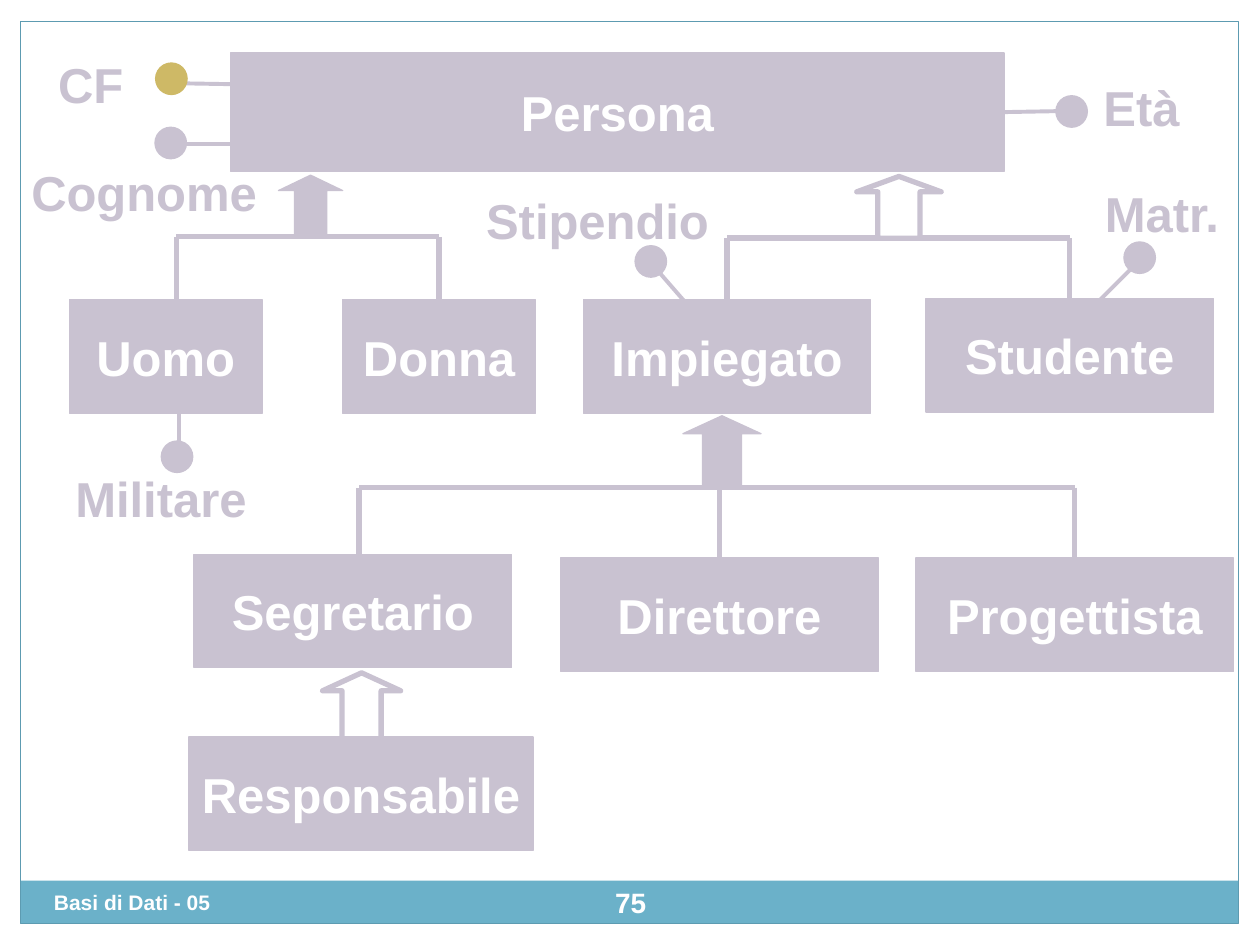
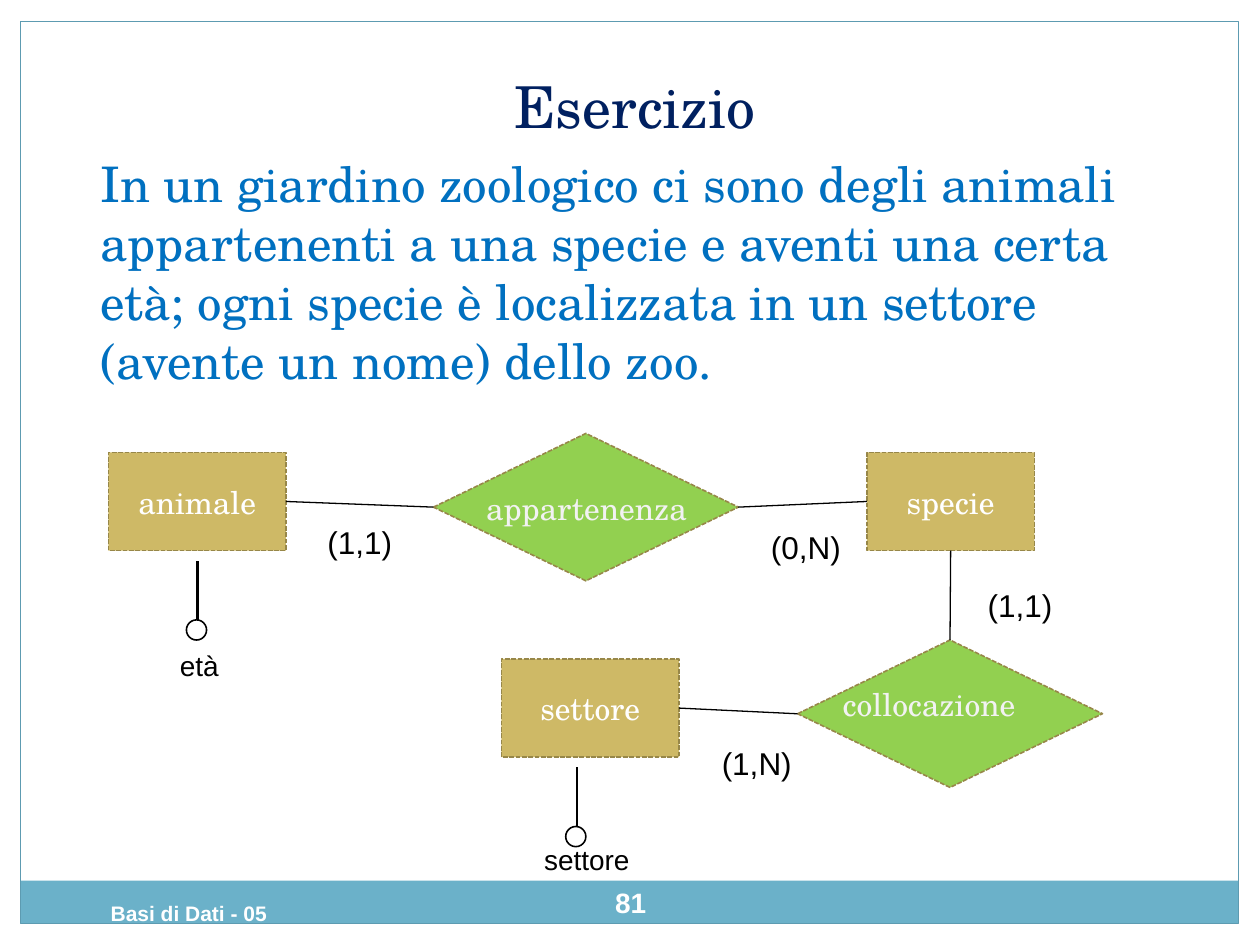
"""Builds two entity-relationship slides of a database course."""
from lxml.etree import SubElement
from pptx import Presentation
from pptx.dml.color import RGBColor
from pptx.enum.dml import MSO_LINE
from pptx.enum.shapes import MSO_CONNECTOR, MSO_SHAPE
from pptx.enum.text import MSO_ANCHOR, MSO_AUTO_SIZE, PP_ALIGN
from pptx.oxml.ns import qn
from pptx.util import Inches, Pt

WHITE = RGBColor(0xFF, 0xFF, 0xFF)
BLACK = RGBColor(0x00, 0x00, 0x00)
BAND = RGBColor(0x6B, 0xB1, 0xC9)
BORDER = RGBColor(0x5D, 0x9B, 0xB1)
LILAC = RGBColor(0xC9, 0xC2, 0xD1)
GOLD = RGBColor(0xCE, 0xB9, 0x66)
GOLD_EDGE = RGBColor(0x97, 0x87, 0x49)
GREEN = RGBColor(0x92, 0xD0, 0x50)
PALE = RGBColor(0xF2, 0xF2, 0xF2)
NAVY = RGBColor(0x00, 0x20, 0x60)
BLUE = RGBColor(0x00, 0x70, 0xC0)
SANS, SERIF = "Arial", "TeX Gyre Schola"
COLUMNS, ROWS = 100, 75
TOP, LEFT, BOTTOM, RIGHT = range(4)
COURSE = "Basi di Dati - 05"


def write_text(target, text, size=28, font=SANS, color=WHITE, bold=False,
               align=PP_ALIGN.LEFT, anchor=MSO_ANCHOR.TOP, wrap=True, grow=False):
    """Put formatted text into a shape."""
    frame = target.text_frame
    frame.word_wrap = wrap
    frame.auto_size = MSO_AUTO_SIZE.SHAPE_TO_FIT_TEXT if grow else MSO_AUTO_SIZE.NONE
    frame.vertical_anchor = anchor
    paragraph = frame.paragraphs[0]
    paragraph.alignment = align
    run = paragraph.add_run()
    run.text = text
    run.font.name, run.font.size = font, Pt(size)
    run.font.color.rgb, run.font.bold = color, bold


class Deck:
    """Style and current slide, measured in grid columns and rows."""

    def __init__(self):
        """Open a 4:3 presentation."""
        self.prs = Presentation()
        self.prs.slide_width, self.prs.slide_height = Inches(10), Inches(7.5)
        self.slide = None

    def place(self, *cells):
        """Turn alternating columns and rows into lengths."""
        units = self.prs.slide_width / COLUMNS, self.prs.slide_height / ROWS
        return [round(cell * units[i % 2]) for i, cell in enumerate(cells)]

    def new_slide(self, number, footer_at, title=None):
        """Add a slide with its frame, footer, number and optional title."""
        layout = self.prs.slide_layouts[5 if title else 6]
        self.slide = self.prs.slides.add_slide(layout)
        for margin in ((0, 0, 100, 1.7), (98.3, 0, 1.7, 75), (0, 0, 1.7, 75)):
            self.shape(margin, WHITE)
        self.shape((1.65, 69.9, 96.6, 3.4), BAND)
        self.shape((1.65, 1.7, 96.65, 71.6), None, BORDER)
        self.label(COURSE, (*footer_at, 39.2, 4), size=12, bold=True, grow=False)
        self.label(str(number), (46.7, 69.2, 6.7, 4.8), size=16, bold=True,
                   align=PP_ALIGN.CENTER, anchor=MSO_ANCHOR.MIDDLE, grow=False)
        if title:
            heading = self.slide.shapes.title
            heading.left, heading.top, heading.width, heading.height = self.place(5, 2.5, 90.8, 11.7)
            write_text(heading, title, size=33, font=SERIF, color=NAVY,
                       align=PP_ALIGN.CENTER, anchor=MSO_ANCHOR.MIDDLE)

    def shape(self, cells, fill, edge=None, width=0.75, kind=MSO_SHAPE.RECTANGLE, dash=None):
        """Draw a preset shape."""
        item = self.slide.shapes.add_shape(kind, *self.place(*cells))
        item.shadow.inherit = False
        if fill is None:
            item.fill.background()
        else:
            item.fill.solid()
            item.fill.fore_color.rgb = fill
        if edge is None:
            item.line.fill.background()
        else:
            item.line.color.rgb, item.line.width = edge, Pt(width)
            item.line.dash_style = dash
        return item

    def label(self, text, cells, **style):
        """Add a text box."""
        box = self.slide.shapes.add_textbox(*self.place(*cells))
        write_text(box, text, **{"grow": True, **style})

    def line(self, start, end, color=LILAC, width=3.0):
        """Draw a straight line; an end is a grid point or a (shape, side) pair."""
        joins = [not isinstance(point[0], (int, float)) for point in (start, end)]
        points = [(0, 0) if joined else point for joined, point in zip(joins, (start, end))]
        link = self.slide.shapes.add_connector(
            MSO_CONNECTOR.STRAIGHT, *self.place(*points[0], *points[1]))
        if joins[0]:
            link.begin_connect(*start)
        if joins[1]:
            link.end_connect(*end)
        link.line.color.rgb, link.line.width = color, Pt(width)
        SubElement(link._element.spPr, qn("a:effectLst"))

    def class_box(self, text, cells):
        """Draw a lilac entity of the hierarchy."""
        box = self.shape(cells, LILAC, LILAC)
        write_text(box, text, bold=True, align=PP_ALIGN.CENTER,
                   anchor=MSO_ANCHOR.MIDDLE, wrap=False)
        return box

    def er_box(self, text, cells):
        """Draw a gold entity with a dashed edge."""
        box = self.shape(cells, GOLD, GOLD_EDGE, 0.91, dash=MSO_LINE.SQUARE_DOT)
        write_text(box, text, size=18, font=SERIF, align=PP_ALIGN.CENTER,
                   anchor=MSO_ANCHOR.MIDDLE)
        return box

    def relation(self, text, corner, text_cells):
        """Draw a green relationship diamond with its name."""
        diamond = self.shape((*corner, 24.2, 11.7), GREEN, GOLD_EDGE, 0.91,
                             MSO_SHAPE.DIAMOND, MSO_LINE.SQUARE_DOT)
        self.label(text, text_cells, size=18, font=SERIF, color=PALE)
        return diamond

    def arrow(self, cells, total):
        """Draw a generalization arrow, filled when the coverage is total."""
        self.shape(cells, LILAC if total else WHITE, LILAC, 0.75 if total else 3,
                   MSO_SHAPE.UP_ARROW).adjustments[1] = 0.25

    def branches(self, bar_row, children):
        """Drop a line from a bar to each child, given as (box, column)."""
        columns = []
        for child, column in children:
            middle = (child.left + child.width / 2) / self.prs.slide_width * COLUMNS
            centred = abs(column - middle) < 0.4
            columns.append(middle if centred else column)
            foot = child.top / self.prs.slide_height * ROWS
            self.line((columns[-1], bar_row), (child, TOP) if centred else (column, foot))
        self.line((columns[0], bar_row), (columns[-1], bar_row))

    def attribute(self, text, cells, dot, start, end, dot_size=2.5, fill=LILAC,
                  edge=LILAC, edge_width=0.75, stem=2.25, **style):
        """Draw an attribute: stem, dot around its centre, and name."""
        self.line(start, end, edge if edge == BLACK else LILAC, stem)
        corner = [centre - dot_size / 2 for centre in dot]
        self.shape((*corner, dot_size, dot_size), fill, edge, edge_width, MSO_SHAPE.OVAL)
        self.label(text, cells, **{"color": LILAC, "bold": True, **style})


def build_hierarchy(deck):
    """Draw the generalization hierarchy of Persona."""
    deck.new_slide(75, (3.3, 70.1))
    segretario = deck.class_box("Segretario", (15.4, 44, 25.2, 9))
    direttore = deck.class_box("Direttore", (44.5, 44.3, 25.2, 9))
    progettista = deck.class_box("Progettista", (72.7, 44.3, 25.2, 9))
    persona = deck.class_box("Persona", (18.3, 4.2, 61.4, 9.4))
    uomo = deck.class_box("Uomo", (5.5, 23.8, 15.3, 9))
    donna = deck.class_box("Donna", (27.2, 23.8, 15.3, 9))
    impiegato = deck.class_box("Impiegato", (46.3, 23.8, 22.8, 9))
    studente = deck.class_box("Studente", (73.5, 23.7, 22.8, 9))

    deck.branches(38.7, ((segretario, 28.5), (direttore, 57.2), (progettista, 85.4)))
    deck.branches(18.8, ((uomo, 14), (donna, 34.9)))
    deck.branches(18.9, ((impiegato, 57.4), (studente, 84.7)))
    deck.arrow((54.2, 33, 6.2, 5.7), total=True)
    deck.arrow((22.1, 13.9, 5.1, 4.9), total=True)
    deck.arrow((68, 14, 6.7, 4.9), total=False)
    deck.arrow((25.6, 53.4, 6.2, 5.7), total=False)
    deck.class_box("Responsabile", (15, 58.5, 27.3, 9))

    deck.attribute("CF", (2.6, 3.8, 9.2, 5.7), (13.6, 6.25), (13.6, 6.6), (19.3, 6.7),
                   fill=GOLD, edge=GOLD, align=PP_ALIGN.CENTER)
    for text, cells, dot, start, end in (
            ("Cognome", (1.5, 12.4, 21, 5.7), (13.55, 11.35), (13.6, 11.4), (19.3, 11.4)),
            ("Età", (86.6, 5.7, 10, 5.7), (85.05, 8.85), (85.1, 8.8), (persona, RIGHT)),
            ("Militare", (5, 36.7, 17, 5.7), (14.05, 36.25), (14.2, 36.4), (14.2, 30.8)),
            ("Stipendio", (37.6, 14.6, 21, 5.7), (51.65, 20.75), (51.7, 20.9), (55, 24.7)),
            ("Matr.", (86.7, 14.1, 12.5, 5.7), (90.45, 20.45), (90.3, 20.8), (85.8, 25.3))):
        deck.attribute(text, cells, dot, start, end)


def build_exercise(deck):
    """Draw the zoo exercise with its entity-relationship schema."""
    deck.new_slide(81, (7.8, 71), "Esercizio")
    deck.label("In un giardino zoologico ci sono degli animali appartenenti a una specie "
               "e aventi una certa età; ogni specie è localizzata in un settore "
               "(avente un nome) dello zoo.",
               (7, 11.7, 88.3, 19.7), font=SERIF, color=BLUE)
    animale = deck.er_box("animale", (8.6, 35.9, 14.1, 7.8))
    specie = deck.er_box("specie", (68.8, 35.9, 13.3, 7.8))
    settore = deck.er_box("settore", (39.8, 52.3, 14.1, 7.8))
    appartenenza = deck.relation("appartenenza", (34.4, 34.4), (37.6, 38.3, 20, 4))
    collocazione = deck.relation("collocazione", (63.3, 50.8), (65.9, 53.9, 18, 4))

    for start, end in (((appartenenza, LEFT), (animale, RIGHT)),
                       ((appartenenza, RIGHT), (specie, LEFT)),
                       ((specie, BOTTOM), (collocazione, TOP)),
                       ((collocazione, LEFT), (settore, RIGHT))):
        deck.line(start, end, BLACK, 0.75)
    for cardinality, left, top in (("(1,1)", 25, 41), ("(0,N)", 60.2, 41.4),
                                   ("(1,1)", 77.4, 46), ("(1,N)", 56.3, 58.6)):
        deck.label(cardinality, (left, top, 8.5, 4), size=18, color=BLACK)
    for text, cells, column, row in (("età", (13.3, 51, 6.5, 3.7), 15.7, 49.2),
                                     ("settore", (42.2, 66.4, 16, 3.7), 45.8, 65.6)):
        deck.attribute(text, cells, (column - 0.1, row + 0.8), (column, row),
                       (column, row - 4.7), dot_size=1.6, fill=WHITE, edge=BLACK,
                       edge_width=0.91, stem=1.5, size=16, color=BLACK, bold=False)


def main():
    """Build and save the presentation."""
    deck = Deck()
    build_hierarchy(deck)
    build_exercise(deck)
    deck.prs.save("out.pptx")


if __name__ == "__main__":
    main()
